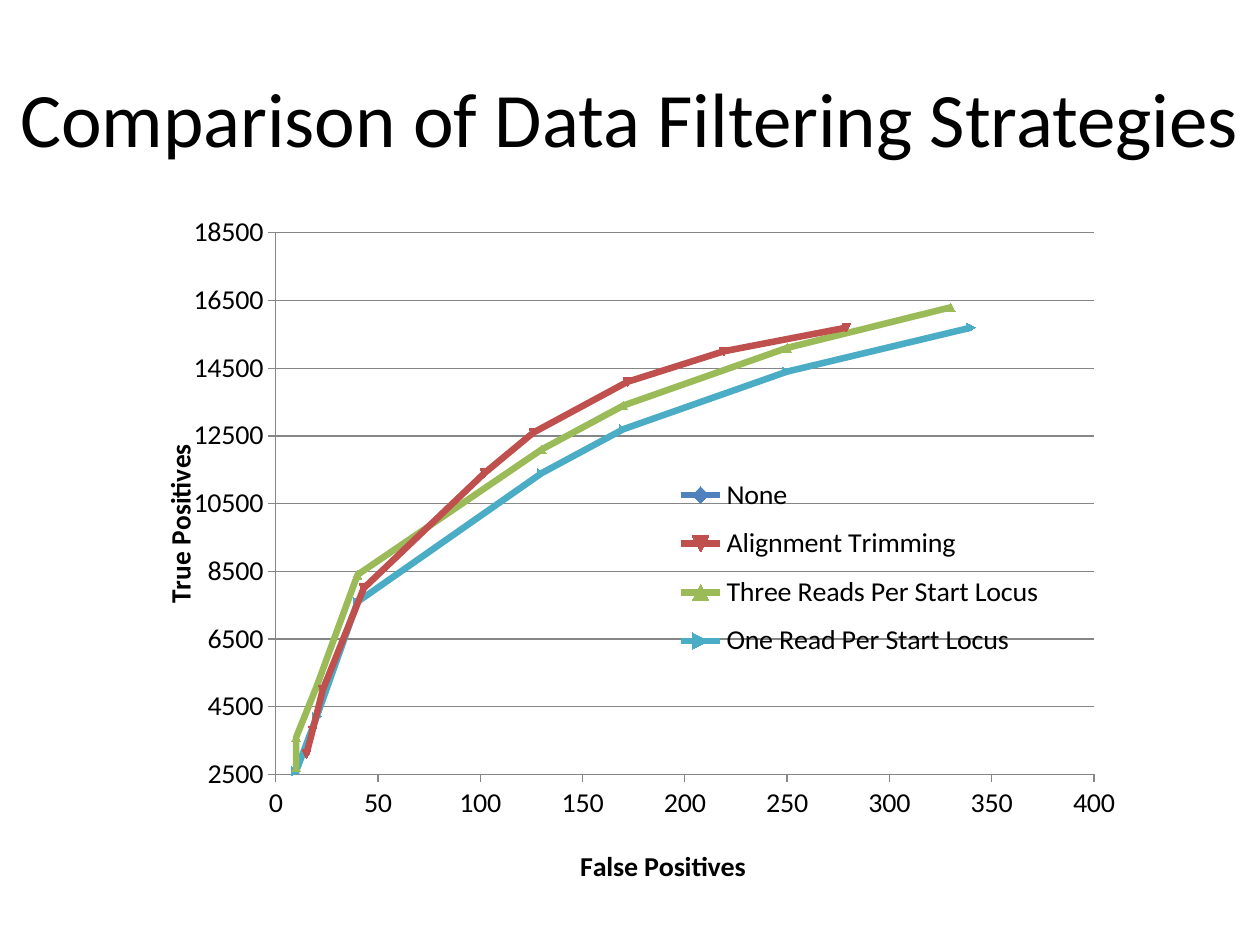
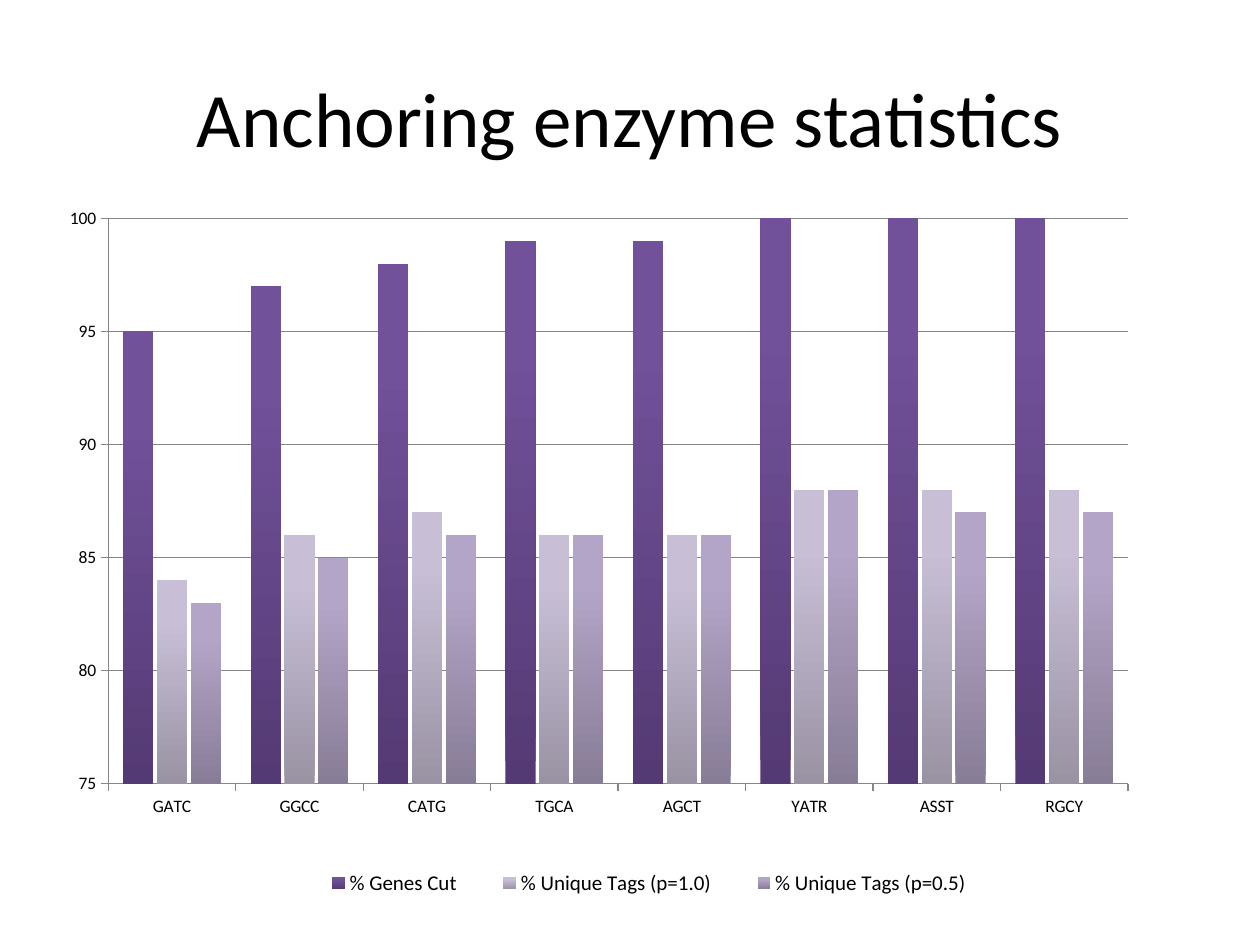
"""Build two slides: a filtering strategy comparison and anchoring enzyme statistics."""
from dataclasses import dataclass
from typing import Any, Optional

from lxml.etree import SubElement
from pptx import Presentation
from pptx.chart.data import CategoryChartData, XyChartData
from pptx.dml.color import RGBColor
from pptx.enum.chart import XL_CHART_TYPE as ChartType
from pptx.enum.chart import XL_LEGEND_POSITION as LegendPosition
from pptx.enum.chart import XL_TICK_MARK as TickMark
from pptx.enum.text import MSO_ANCHOR as Anchor
from pptx.enum.text import PP_ALIGN as Align
from pptx.oxml.ns import qn
from pptx.util import Inches, Pt

FONT = "Calibri"
BLACK = "000000"
WHITE = "FFFFFF"
GRID = "868686"


@dataclass
class Box:
    """A rectangle, in inches on a slide or in fractions of a chart."""

    left: float
    top: float
    width: Optional[float] = None
    height: Optional[float] = None

    def lengths(self) -> list[int]:
        """Return the four sides as slide lengths."""
        return [Inches(side) for side in (self.left, self.top, self.width, self.height)]


@dataclass
class Scale:
    """Range and step of an axis."""

    low: float
    high: float
    step: float


@dataclass
class Strategy:
    """One filtering strategy with its false and true positives."""

    name: str
    color: str
    false_positives: list[int]
    true_positives: list[int]


@dataclass
class Statistic:
    """One percentage per enzyme, with the shades of its columns."""

    name: str
    dark: str
    light: str
    percentages: list[int]


@dataclass
class ChartStyle:
    """Place and text sizes of a chart and its parts."""

    frame: Box
    plot: Box
    legend: Box
    tick_size: int
    legend_size: int


STRATEGIES = [
    Strategy("None", "4F81BD", [340, 260, 180, 150, 60, 40, 30, 30],
             [16800, 15600, 14000, 12700, 9100, 5900, 4600, 3800]),
    Strategy("Alignment Trimming", "C0504D", [279, 219, 172, 126, 102, 43, 23, 18, 15],
             [15700, 15000, 14100, 12600, 11400, 8000, 5000, 3800, 3100]),
    Strategy("Three Reads Per Start Locus", "9BBB59", [330, 250, 170, 130, 40, 20, 10, 10],
             [16300, 15100, 13400, 12100, 8400, 5100, 3600, 2700]),
    Strategy("One Read Per Start Locus", "4BACC6", [340, 250, 170, 130, 40, 20, 10, 10],
             [15700, 14400, 12700, 11400, 7600, 4200, 2600, 1700]),
]
ENZYMES = ["GATC", "GGCC", "CATG", "TGCA", "AGCT", "YATR", "ASST", "RGCY"]
STATISTICS = [
    Statistic("% Genes Cut", "543A74", "71519A", [95, 97, 98, 99, 99, 100, 100, 100]),
    Statistic("% Unique Tags (p=1.0)", "9A93A4", "C8BFD6", [84, 86, 87, 86, 86, 88, 88, 88]),
    Statistic("% Unique Tags (p=0.5)", "887D96", "B3A5C7", [83, 85, 86, 86, 86, 88, 87, 87]),
]
STRATEGY_STYLE = ChartStyle(Box(1.08, 1.58, 7.92, 5.5), Box(0.14, 0.05, 0.82, 0.8),
                            Box(0.53, 0.39, 0.39, 0.31), 16, 16)
ENZYME_STYLE = ChartStyle(Box(0.08, 1.5, 9.75, 5.83), Box(0.08, 0.04, 0.83, 0.77),
                          Box(0.23, 0.92, 0.58, 0.05), 10, 12)


def rgb(color: str) -> RGBColor:
    """Turn a hex string into a colour."""
    return RGBColor.from_string(color)


def style_font(font: Any, size: int, bold: bool = False) -> None:
    """Apply the shared typeface and colour."""
    font.name, font.size, font.bold = FONT, Pt(size), bold
    font.color.rgb = rgb(BLACK)


def add_slide(deck: Any, title: str, box: Box) -> Any:
    """Add a blank white slide with a centred title."""
    slide = deck.slides.add_slide(deck.slide_layouts[6])
    slide.background.fill.solid()
    slide.background.fill.fore_color.rgb = rgb(WHITE)
    frame = slide.shapes.add_textbox(*box.lengths()).text_frame
    frame.word_wrap = True
    frame.vertical_anchor = Anchor.MIDDLE
    paragraph = frame.paragraphs[0]
    paragraph.alignment = Align.CENTER
    run = paragraph.add_run()
    run.text = title
    style_font(run.font, 44)
    return slide


def place(part: Any, box: Box, after: Optional[str] = None, inner: bool = False) -> None:
    """Give a chart part a manual layout, following the named child."""
    for old in part.findall(qn("c:layout")):
        part.remove(old)
    layout = SubElement(part, qn("c:layout"))
    part.insert(0 if after is None else part.index(part.find(qn(after))) + 1, layout)
    manual = SubElement(layout, qn("c:manualLayout"))
    settings = [("layoutTarget", "inner")] if inner else []
    settings += [("xMode", "edge"), ("yMode", "edge"), ("x", box.left), ("y", box.top)]
    if box.width is not None:
        settings += [("w", box.width), ("h", box.height)]
    for tag, value in settings:
        SubElement(manual, qn(f"c:{tag}")).set("val", str(value))


def add_chart(slide: Any, kind: ChartType, data: Any, style: ChartStyle) -> Any:
    """Add a chart with the shared text, axes, gridlines and legend."""
    chart = slide.shapes.add_chart(kind, *style.frame.lengths(), data).chart
    chart.has_title = False
    style_font(chart.font, style.tick_size)
    chart.plots[0].vary_by_categories = False
    place(chart._chartSpace.chart.plotArea, style.plot, inner=True)
    for axis in (chart.category_axis, chart.value_axis):
        axis.has_major_gridlines = False
        axis.major_tick_mark, axis.minor_tick_mark = TickMark.OUTSIDE, TickMark.NONE
        axis.format.line.color.rgb = rgb(GRID)
        axis.format.line.width = Pt(0.75)
        style_font(axis.tick_labels.font, style.tick_size)
    gridline = chart.value_axis.major_gridlines.format.line
    gridline.color.rgb = rgb(GRID)
    gridline.width = Pt(0.75)
    chart.has_legend = True
    chart.legend.position = LegendPosition.RIGHT
    chart.legend.include_in_layout = False
    style_font(chart.legend.font, style.legend_size)
    place(chart.legend._element, style.legend, after="c:legendPos")
    return chart


def set_scale(axis: Any, scale: Scale) -> None:
    """Fix the range and step of an axis, with plain numbers."""
    axis.minimum_scale, axis.maximum_scale = scale.low, scale.high
    axis.major_unit = scale.step
    axis.tick_labels.number_format = "0"
    axis.tick_labels.number_format_is_linked = False


def add_axis_title(axis: Any, text: str, corner: Box, upright: bool = False) -> None:
    """Name an axis in bold, turned upwards when upright."""
    frame = axis.axis_title.text_frame
    run = frame.paragraphs[0].add_run()
    run.text = text
    style_font(run.font, 16, bold=True)
    if upright:
        body = frame._txBody.bodyPr
        body.set("rot", "-5400000")
        body.set("vert", "horz")
    place(axis.axis_title._element, corner, after="c:tx")


def build_strategy_slide(deck: Any) -> None:
    """Plot true against false positives for each strategy."""
    slide = add_slide(deck, "Comparison of Data Filtering Strategies", Box(0, 0.3, 10, 1.25))
    data = XyChartData()
    for strategy in STRATEGIES:
        points = data.add_series(strategy.name)
        for false_count, true_count in zip(strategy.false_positives, strategy.true_positives):
            points.add_data_point(false_count, true_count)
    chart = add_chart(slide, ChartType.XY_SCATTER_LINES, data, STRATEGY_STYLE)
    set_scale(chart.category_axis, Scale(0, 400, 50))
    set_scale(chart.value_axis, Scale(2500, 18500, 2000))
    add_axis_title(chart.category_axis, "False Positives", Box(0.44, 0.95))
    add_axis_title(chart.value_axis, "True Positives", Box(0.02, 0.36), upright=True)
    for curve, strategy in zip(chart.plots[0].series, STRATEGIES):
        curve.format.line.color.rgb = rgb(strategy.color)
        curve.format.line.width = Pt(3.75)


def build_enzyme_slide(deck: Any) -> None:
    """Draw the percentages of each anchoring enzyme as columns."""
    slide = add_slide(deck, "Anchoring enzyme statistics", Box(0.5, 0.3, 9, 1.25))
    data = CategoryChartData()
    data.categories = ENZYMES
    for statistic in STATISTICS:
        data.add_series(statistic.name, statistic.percentages)
    chart = add_chart(slide, ChartType.COLUMN_CLUSTERED, data, ENZYME_STYLE)
    set_scale(chart.value_axis, Scale(75, 100, 5))
    plot = chart.plots[0]
    plot.gap_width, plot.overlap = 98, -12
    for columns, statistic in zip(plot.series, STATISTICS):
        fill = columns.format.fill
        fill.gradient()
        fill.gradient_angle = 90
        shades = [(0, statistic.dark), (0.8, statistic.light)]
        for stop, (position, color) in zip(fill.gradient_stops, shades):
            stop.position = position
            stop.color.rgb = rgb(color)


def main() -> None:
    """Build and save the presentation."""
    deck = Presentation()
    deck.slide_width, deck.slide_height = Inches(10), Inches(7.5)
    build_strategy_slide(deck)
    build_enzyme_slide(deck)
    deck.save("out.pptx")


if __name__ == "__main__":
    main()
